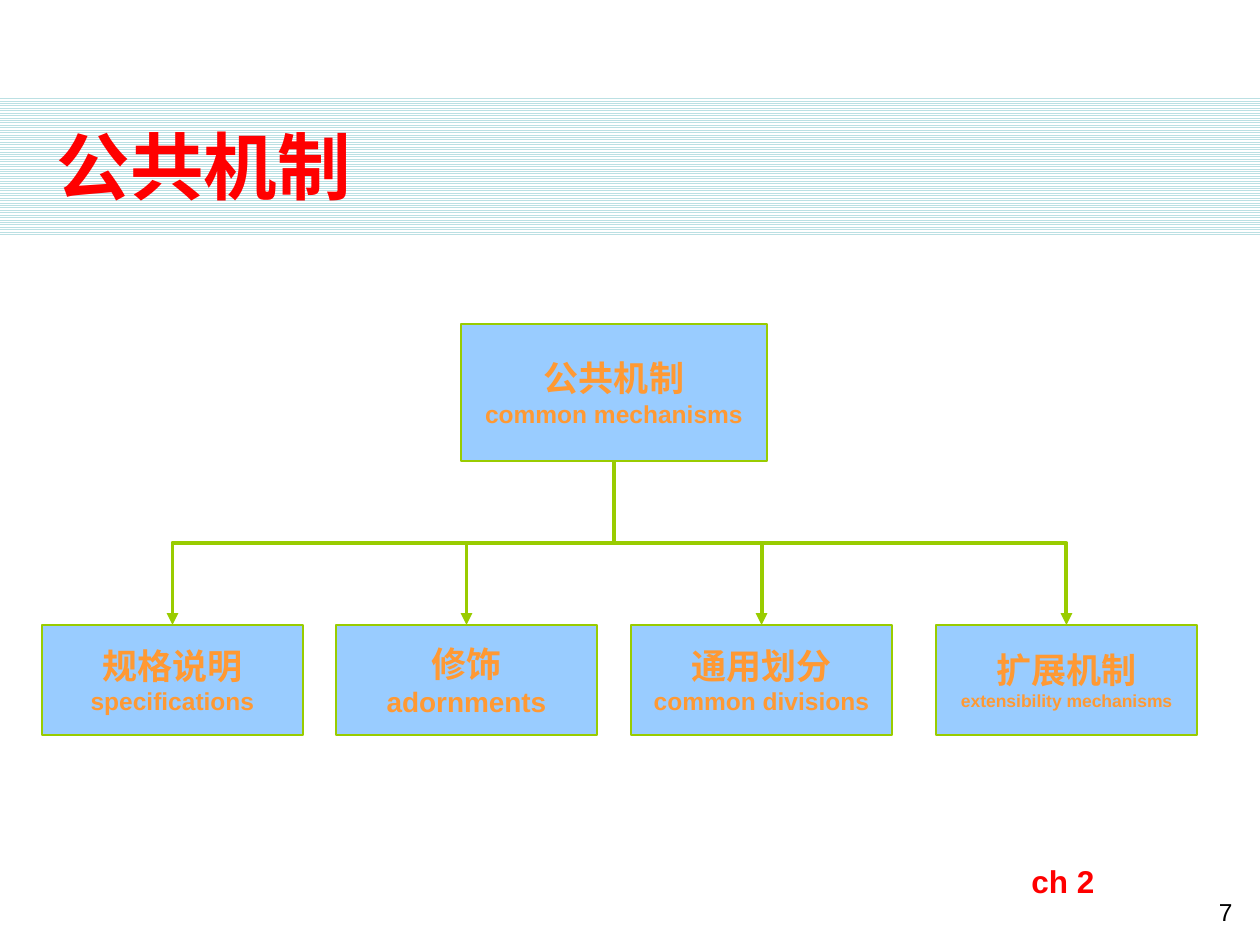
from lxml import etree
from pptx import Presentation
from pptx.dml.color import RGBColor
from pptx.enum.dml import MSO_PATTERN
from pptx.enum.shapes import MSO_CONNECTOR, MSO_SHAPE
from pptx.enum.text import MSO_ANCHOR, MSO_AUTO_SIZE, PP_ALIGN
from pptx.oxml.ns import qn
from pptx.util import Pt

RECTANGLE = MSO_SHAPE.RECTANGLE
ELBOW = MSO_CONNECTOR.ELBOW
LEFT, CENTER, RIGHT = PP_ALIGN.LEFT, PP_ALIGN.CENTER, PP_ALIGN.RIGHT
TOP, MIDDLE = MSO_ANCHOR.TOP, MSO_ANCHOR.MIDDLE

WHITE = RGBColor(0xFF, 0xFF, 0xFF)
BLACK = RGBColor(0x00, 0x00, 0x00)
RED = RGBColor(0xFF, 0x00, 0x00)
ORANGE = RGBColor(0xFF, 0x99, 0x33)
BLUE = RGBColor(0x99, 0xCC, 0xFF)
GREEN = RGBColor(0x99, 0xCC, 0x00)
TEAL = RGBColor(0xBB, 0xE0, 0xE3)

PX_PER_INCH = 126
BOTTOM_SITE, TOP_SITE = 2, 0
QUARTER_TURN = 90 * 60000

ROOT = ("公共机制", "common mechanisms", 14)
BRANCHES = [
    (0, "规格说明", "specifications", 14),
    (294, "修饰", "adornments", 16),
    (589, "通用划分", "common divisions", 14),
    (894, "扩展机制", "extensibility mechanisms", 10),
]


def px(length):
    return round(length * 914400 / PX_PER_INCH)


def emu_box(box):
    return [px(length) for length in box]


def set_attributes(target, values):
    for name, value in values.items():
        setattr(target, name, value)


def write_lines(shape, lines, color, bold=True, align=LEFT, anchor=TOP, wrap=True):
    """Fill a shape with (text, point size) lines, one paragraph each."""
    frame = shape.text_frame
    set_attributes(frame, {"word_wrap": wrap, "vertical_anchor": anchor,
                           "auto_size": MSO_AUTO_SIZE.NONE})
    for index, (text, size) in enumerate(lines):
        paragraph = frame.add_paragraph() if index else frame.paragraphs[0]
        paragraph.alignment = align
        run = paragraph.add_run()
        run.text = text
        set_attributes(run.font, {"name": "Arial", "size": Pt(size), "bold": bold})
        run.font.color.rgb = color


def add_title_band(slide, box):
    left, top, width, height = box
    band = slide.shapes.add_shape(RECTANGLE, *emu_box(box))
    band.shadow.inherit = False
    band.fill.patterned()
    band.fill.pattern = MSO_PATTERN.LIGHT_HORIZONTAL
    band.fill.fore_color.rgb = TEAL
    band.fill.back_color.rgb = WHITE
    band.line.fill.background()
    slide.shapes._spTree.insert(2, band._element)

    title = slide.shapes.title
    title_box = emu_box((left + 44, top + 9, width - 126, height - 19))
    set_attributes(title, dict(zip(("left", "top", "width", "height"), title_box)))
    write_lines(title, [("公共机制", 42)], RED, anchor=MIDDLE)


def add_node(slide, box, name, english, english_size):
    node = slide.shapes.add_shape(RECTANGLE, *emu_box(box))
    node.shadow.inherit = False
    node.fill.solid()
    node.fill.fore_color.rgb = BLUE
    node.line.color.rgb = GREEN
    node.line.width = Pt(1.5)
    write_lines(node, [(name, 20), (english, english_size)], ORANGE,
                align=CENTER, anchor=MIDDLE, wrap=False)
    return node


def add_branch_arrow(slide, parent, child):
    """Join two nodes by an elbow that leaves downwards, bends halfway and ends in an arrow."""
    start_x, start_y = parent.left + parent.width // 2, parent.top + parent.height
    end_x, end_y = child.left + child.width // 2, child.top
    arrow = slide.shapes.add_connector(ELBOW, start_x, start_y, end_x, end_y)
    arrow.begin_connect(parent, BOTTOM_SITE)
    arrow.end_connect(child, TOP_SITE)

    # The elbow preset runs sideways, so its frame is turned about its centre.
    drop, reach = end_y - start_y, abs(end_x - start_x)
    set_attributes(arrow, {"left": (start_x + end_x - drop) // 2,
                           "top": (start_y + end_y - reach) // 2,
                           "width": drop, "height": reach})
    goes_right = end_x > start_x
    properties = arrow._element.spPr
    frame = properties.find(qn("a:xfrm"))
    set_attributes(frame, {"flipH": goes_right, "flipV": False})
    frame.set("rot", str(QUARTER_TURN * (3 if goes_right else 1)))

    arrow.line.color.rgb = GREEN
    arrow.line.width = Pt(2.25)
    etree.SubElement(properties.find(qn("a:ln")), qn("a:tailEnd"), type="triangle")
    etree.SubElement(properties, qn("a:effectLst"))


def add_mechanism_tree(slide, box):
    left, top, _, height = box
    root = add_node(slide, (left + 419, top, 306, 137), *ROOT)
    branch_height = 110
    for offset, *texts in BRANCHES:
        branch_box = (left + offset, top + height - branch_height, 261, branch_height)
        branch = add_node(slide, branch_box, *texts)
        add_branch_arrow(slide, root, branch)


def add_footer(slide, box):
    left, top, _, _ = box
    chapter = slide.shapes.add_textbox(*emu_box((left, top, 158, 50)))
    write_lines(chapter, [("ch 2", 18)], RED)
    number = slide.shapes.add_textbox(*emu_box((left - 68, top + 35, 294, 47)))
    write_lines(number, [("7", 14)], BLACK, bold=False, align=RIGHT)


def main():
    presentation = Presentation()
    presentation.slide_width, presentation.slide_height = px(1260), px(945)
    slide = presentation.slides.add_slide(presentation.slide_layouts[5])
    add_title_band(slide, (0, 96, 1260, 139))
    add_mechanism_tree(slide, (42, 324, 1155, 411))
    add_footer(slide, (1019, 856, 226, 82))
    presentation.save("out.pptx")


if __name__ == "__main__":
    main()
